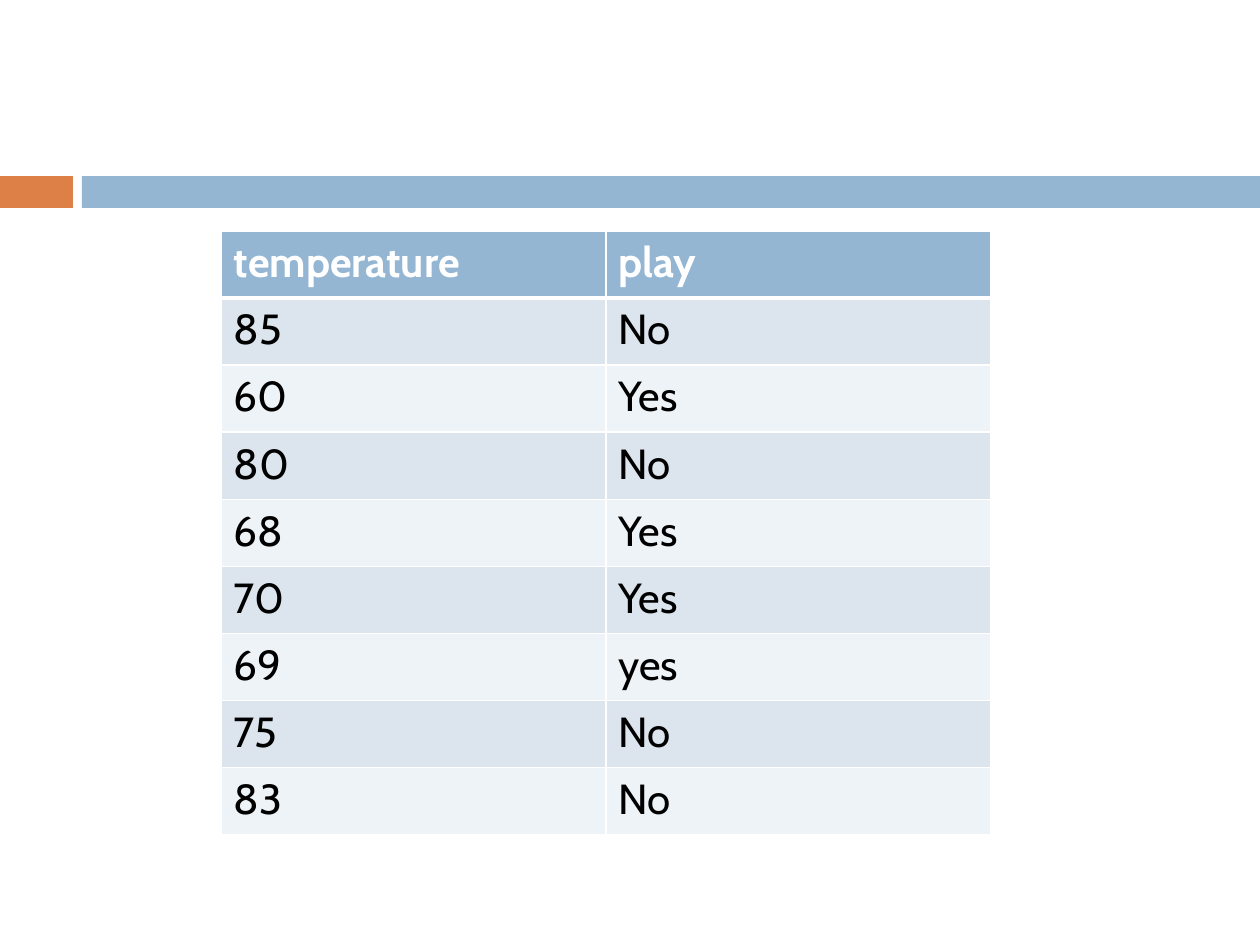
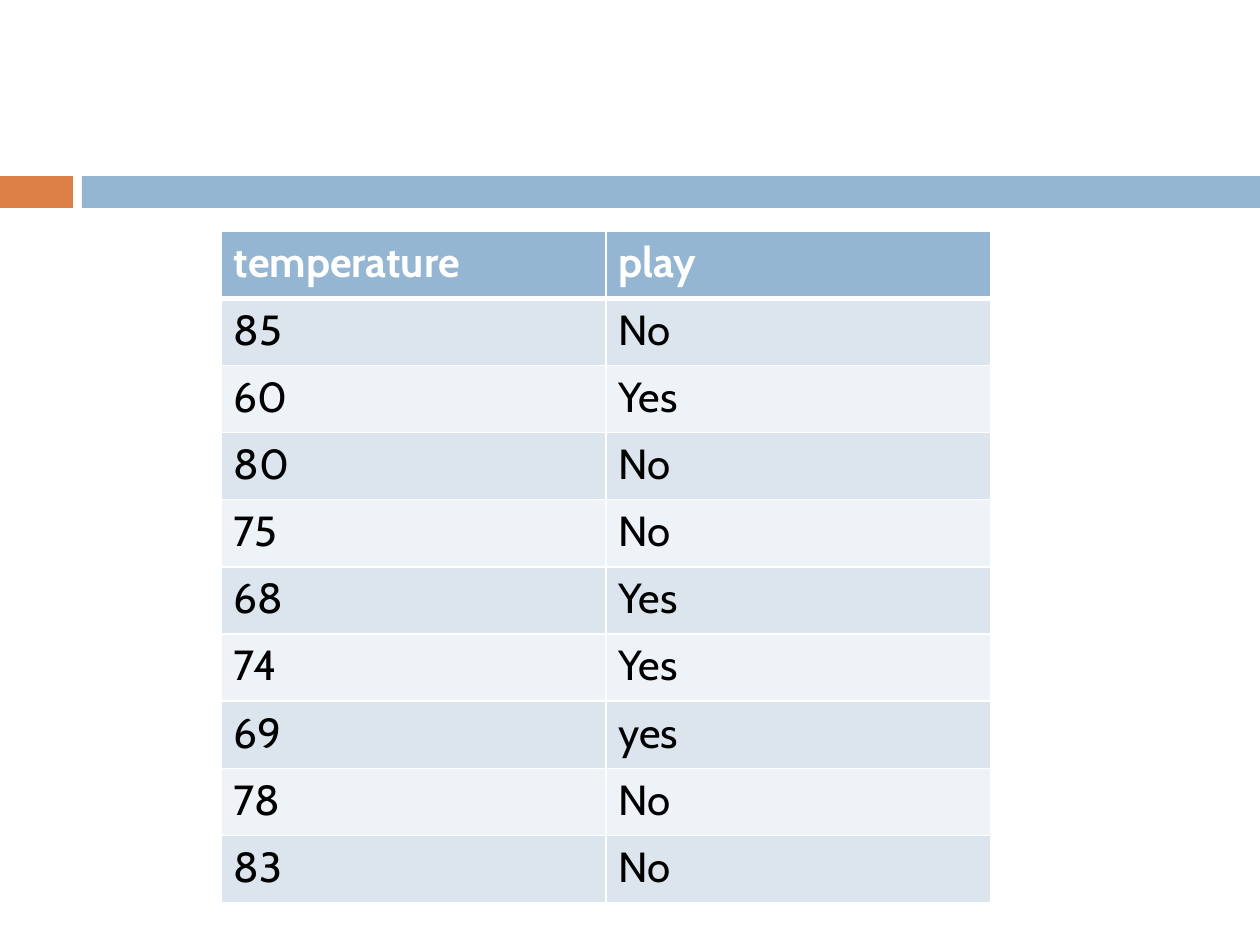
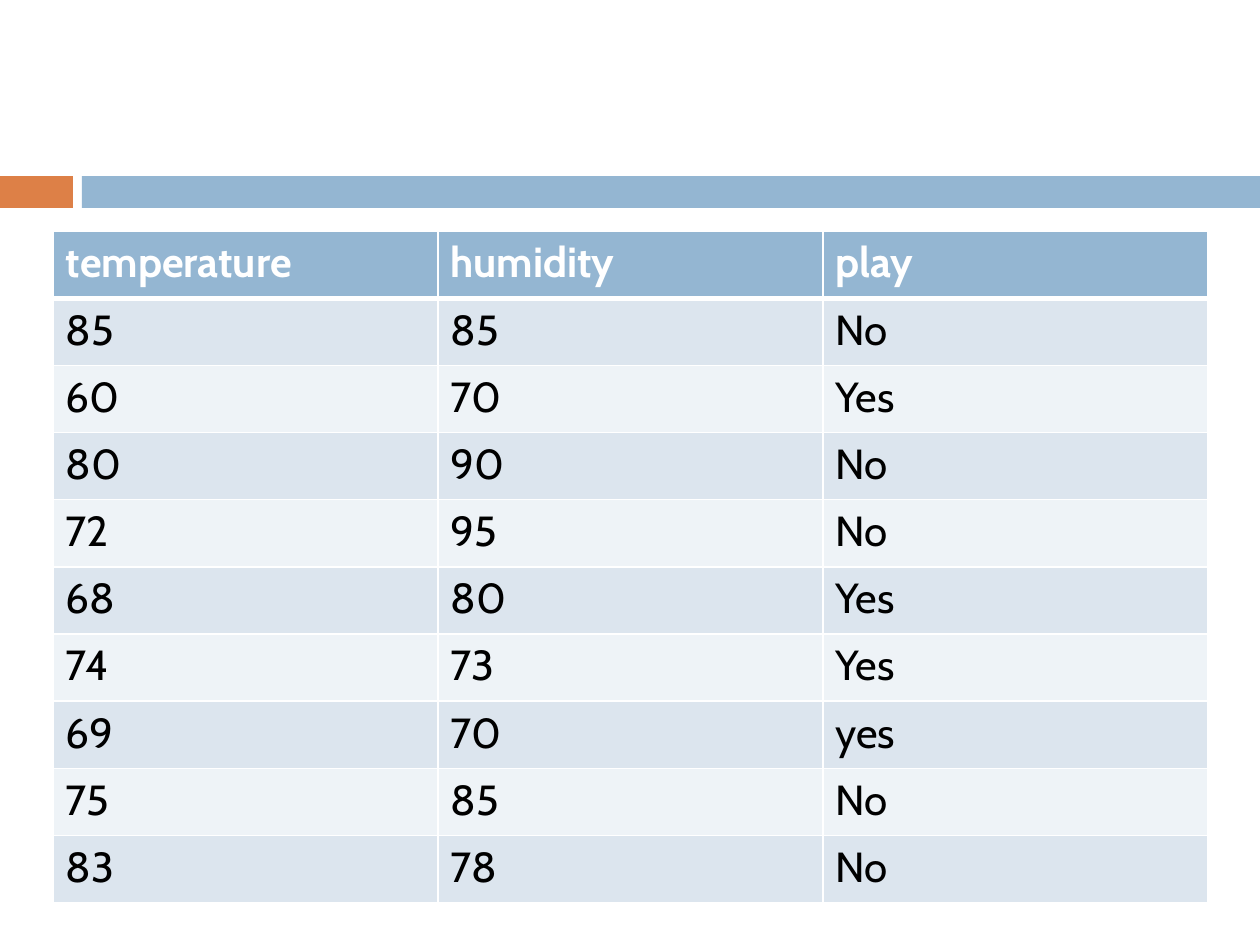
from lxml.etree import SubElement
from pptx import Presentation
from pptx.dml.color import RGBColor
from pptx.enum.shapes import MSO_SHAPE
from pptx.oxml.ns import qn
from pptx.util import Emu, Pt

EMU_PER_PX = 914400 // 126
SLIDE_W, SLIDE_H = 1260, 945
BAND_TOP, BAND_H = 176, 32
TABLE_TOP, COL_W, TEN_ROWS_H = 231, 385, 672

FONT = "Cabin"
ORANGE = RGBColor(0xDD, 0x80, 0x47)
BLUE = RGBColor(0x94, 0xB6, 0xD2)
DARK_ROW = RGBColor(0xDC, 0xE5, 0xEE)
LIGHT_ROW = RGBColor(0xEE, 0xF3, 0xF7)
WHITE = RGBColor(0xFF, 0xFF, 0xFF)
BLACK = RGBColor(0x00, 0x00, 0x00)

# Each table: left edge, then its rows with the header first.
TABLES = [
    (221, [
        ("temperature", "play"),
        ("85", "No"),
        ("60", "Yes"),
        ("80", "No"),
        ("68", "Yes"),
        ("70", "Yes"),
        ("69", "yes"),
        ("75", "No"),
        ("83", "No"),
    ]),
    (221, [
        ("temperature", "play"),
        ("85", "No"),
        ("60", "Yes"),
        ("80", "No"),
        ("75", "No"),
        ("68", "Yes"),
        ("74", "Yes"),
        ("69", "yes"),
        ("78", "No"),
        ("83", "No"),
    ]),
    (53, [
        ("temperature", "humidity", "play"),
        ("85", "85", "No"),
        ("60", "70", "Yes"),
        ("80", "90", "No"),
        ("72", "95", "No"),
        ("68", "80", "Yes"),
        ("74", "73", "Yes"),
        ("69", "70", "yes"),
        ("75", "85", "No"),
        ("83", "78", "No"),
    ]),
]


def px(n):
    """Turn pixels into EMU."""
    return Emu(n * EMU_PER_PX)


def add_band(slide, left, width, color):
    """Add one block of the band above the table."""
    sp = slide.shapes.add_shape(MSO_SHAPE.RECTANGLE, px(left), px(BAND_TOP),
                                px(width), px(BAND_H))
    sp.shadow.inherit = False
    sp.fill.solid()
    sp.fill.fore_color.rgb = color
    sp.line.fill.background()


def set_borders(cell, top, bottom):
    """Draw white cell borders; top and bottom widths are in points."""
    tc_pr = cell._tc.get_or_add_tcPr()
    for tag, width in (("lnL", 1), ("lnR", 1), ("lnT", top), ("lnB", bottom)):
        ln = SubElement(tc_pr, qn(f"a:{tag}"), w=str(Pt(width)))
        fill = SubElement(ln, qn("a:solidFill"))
        SubElement(fill, qn("a:srgbClr"), val=str(WHITE))


def format_cell(cell, text, row):
    """Write a cell and style it by its row number."""
    header = row == 0
    set_borders(cell, 3 if row == 1 else 1, 3 if header else 1)
    cell.fill.solid()
    cell.fill.fore_color.rgb = (
        BLUE if header else DARK_ROW if row % 2 else LIGHT_ROW)
    cell.text = text
    font = cell.text_frame.paragraphs[0].font
    font.name = FONT
    font.size = Pt(24)
    font.bold = header
    font.color.rgb = WHITE if header else BLACK


def add_data_table(slide, left, rows):
    """Add a table with equal columns and equal rows."""
    n_rows, n_cols = len(rows), len(rows[0])
    height = px(TEN_ROWS_H * n_rows // 10)
    table = slide.shapes.add_table(n_rows, n_cols, px(left), px(TABLE_TOP),
                                   px(COL_W * n_cols), height).table
    for r, values in enumerate(rows):
        for c, text in enumerate(values):
            format_cell(table.cell(r, c), text, r)


def add_slide(prs, left, rows):
    """Add a slide with the band and one table."""
    slide = prs.slides.add_slide(prs.slide_layouts[6])
    add_band(slide, 0, 73, ORANGE)
    add_band(slide, 82, SLIDE_W - 82, BLUE)
    add_data_table(slide, left, rows)


def main():
    """Build the presentation."""
    prs = Presentation()
    prs.slide_width, prs.slide_height = px(SLIDE_W), px(SLIDE_H)
    for left, rows in TABLES:
        add_slide(prs, left, rows)
    prs.save("out.pptx")


main()
